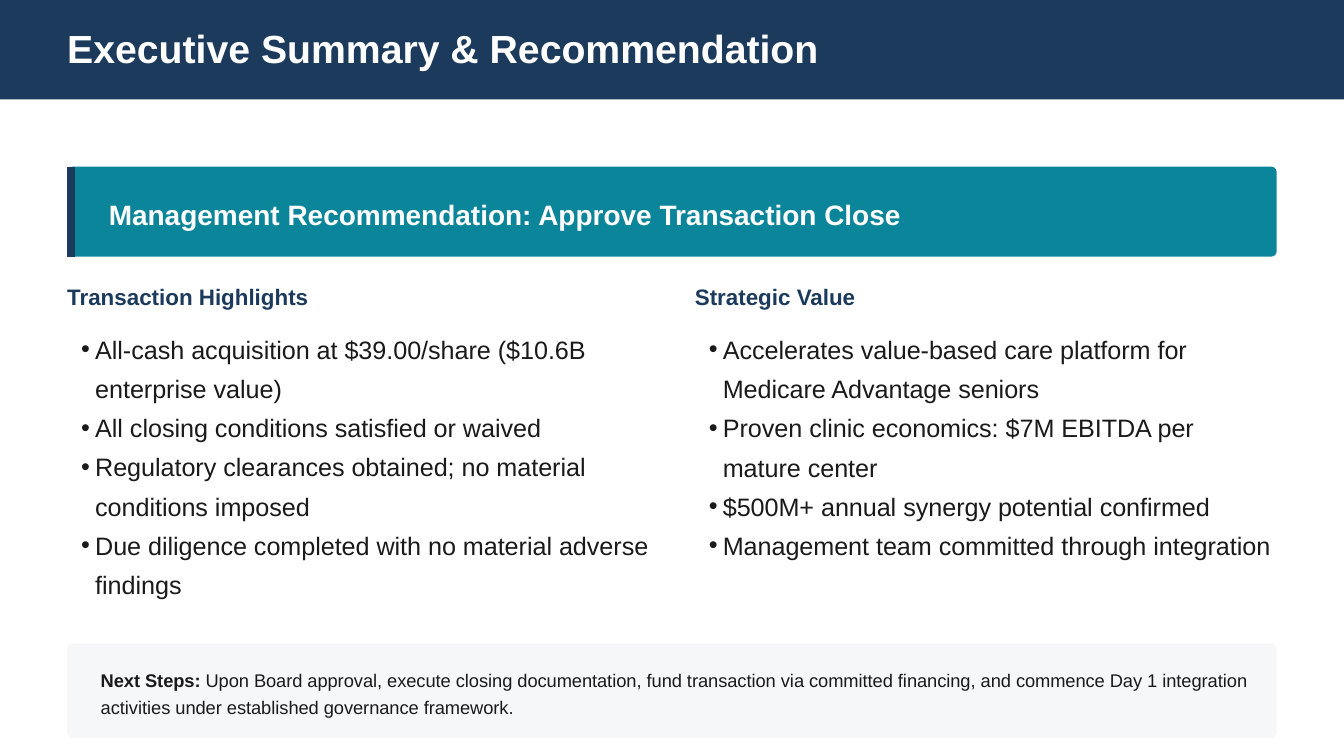
import pptx
import pptx.dml.color
import pptx.enum.shapes
import pptx.oxml.ns
import pptx.util
from dataclasses import dataclass
from lxml import etree

Inches = pptx.util.Inches
Pt = pptx.util.Pt
SHAPE = pptx.enum.shapes.MSO_SHAPE


@dataclass(frozen=True)
class Theme:
    font: str = "Arial"
    navy: str = "1C3A5C"
    teal: str = "0B8599"
    pale: str = "F5F7F9"
    ink: str = "1A1A1A"
    white: str = "FFFFFF"
    title: float = 21
    banner: float = 15
    heading: float = 12
    body: float = 13.5
    note: float = 9.75


THEME = Theme()
MARGIN = 0.5
CONTENT_WIDTH = 9
COLUMN_STEP = 4.67
BULLET_INDENT = Pt(7.5)

COLUMNS = [
    ("Transaction Highlights", 2.17, [
        "All-cash acquisition at $39.00/share ($10.6B enterprise value)",
        "All closing conditions satisfied or waived",
        "Regulatory clearances obtained; no material conditions imposed",
        "Due diligence completed with no material adverse findings",
    ]),
    ("Strategic Value", 1.88, [
        "Accelerates value-based care platform for Medicare Advantage seniors",
        "Proven clinic economics: $7M EBITDA per mature center",
        "$500M+ annual synergy potential confirmed",
        "Management team committed through integration",
    ]),
]


def rgb(color):
    return pptx.dml.color.RGBColor.from_string(color)


def add_panel(slide, box, color, radius=None):
    """Add a borderless filled rectangle, rounded when a radius ratio is given."""
    kind = SHAPE.RECTANGLE if radius is None else SHAPE.ROUNDED_RECTANGLE
    sp = slide.shapes.add_shape(kind, *map(Inches, box))
    if radius is not None:
        sp.adjustments[0] = radius
    sp.shadow.inherit = False
    sp.fill.solid()
    sp.fill.fore_color.rgb = rgb(color)
    sp.line.fill.background()


def add_accent(slide, x, top, bottom):
    line = slide.shapes.add_connector(
        pptx.enum.shapes.MSO_CONNECTOR.STRAIGHT,
        *map(Inches, (x, top, x, bottom)))
    line.line.color.rgb = rgb(THEME.navy)
    line.line.width = Pt(4.5)
    etree.SubElement(line._element.spPr, pptx.oxml.ns.qn("a:effectLst"))


def add_frame(slide, box, left_inset=0):
    tf = slide.shapes.add_textbox(*map(Inches, box)).text_frame
    tf.word_wrap = True
    tf.margin_left = left_inset
    tf.margin_top = tf.margin_right = tf.margin_bottom = 0
    return tf


def format_run(r, size, color, bold=False):
    r.font.name = THEME.font
    r.font.size = Pt(size)
    r.font.bold = bold
    r.font.color.rgb = rgb(color)


def add_label(slide, box, text, size, color, spacing):
    """Add one bold line of text and return its paragraph."""
    p = add_frame(slide, box).paragraphs[0]
    p.text = text
    p.line_spacing = Pt(spacing)
    format_run(p.runs[0], size, color, bold=True)
    return p


def add_bullets(slide, box, items):
    tf = add_frame(slide, box, left_inset=BULLET_INDENT)
    tf.text = "\n".join(items)
    for p in tf.paragraphs:
        pPr = p._p.get_or_add_pPr()
        pPr.set("marL", str(BULLET_INDENT))
        pPr.set("indent", str(-BULLET_INDENT))
        etree.SubElement(pPr, pptx.oxml.ns.qn("a:buSzPct"), val="100000")
        etree.SubElement(pPr, pptx.oxml.ns.qn("a:buFont"), typeface=THEME.font)
        etree.SubElement(pPr, pptx.oxml.ns.qn("a:buChar"), char="•")
        p.line_spacing = Pt(21)
        format_run(p.runs[0], THEME.body, THEME.ink)


def add_column(slide, left, heading, height, items):
    p = add_label(slide, (left, 2.11, 4.42, 0.2), heading,
                  THEME.heading, THEME.navy, 14.4)
    p.space_after = Pt(7.5)
    add_bullets(slide, (left, 2.42, 4.33, height), items)


def add_next_steps(slide):
    add_panel(slide, (MARGIN, 4.79, CONTENT_WIDTH, 0.7), THEME.pale, 0.06)
    p = add_label(slide, (0.75, 4.94, 8.67, 0.41), "Next Steps:",
                  THEME.note, THEME.ink, 14.6)
    r = p.add_run()
    r.text = (" Upon Board approval, execute closing documentation, fund "
              "transaction via committed financing, and commence Day 1 "
              "integration activities under established governance framework.")
    format_run(r, THEME.note, THEME.ink)


def main():
    prs = pptx.Presentation()
    prs.slide_width = Inches(10)
    prs.slide_height = prs.slide_width * 9 // 16
    slide = prs.slides.add_slide(prs.slide_layouts[6])

    add_panel(slide, (0, 0, 10, 0.74), THEME.navy)
    add_label(slide, (MARGIN, 0.21, 5.71, 0.32),
              "Executive Summary & Recommendation",
              THEME.title, THEME.white, 23.3)

    add_panel(slide, (MARGIN, 1.24, CONTENT_WIDTH, 0.67), THEME.teal, 0.06)
    add_accent(slide, 0.53, 1.24, 1.91)
    add_label(slide, (0.81, 1.43, 8.61, 0.29),
              "Management Recommendation: Approve Transaction Close",
              THEME.banner, THEME.white, 21)

    for i, column in enumerate(COLUMNS):
        add_column(slide, MARGIN + i * COLUMN_STEP, *column)
    add_next_steps(slide)
    prs.save("out.pptx")


if __name__ == "__main__":
    main()
